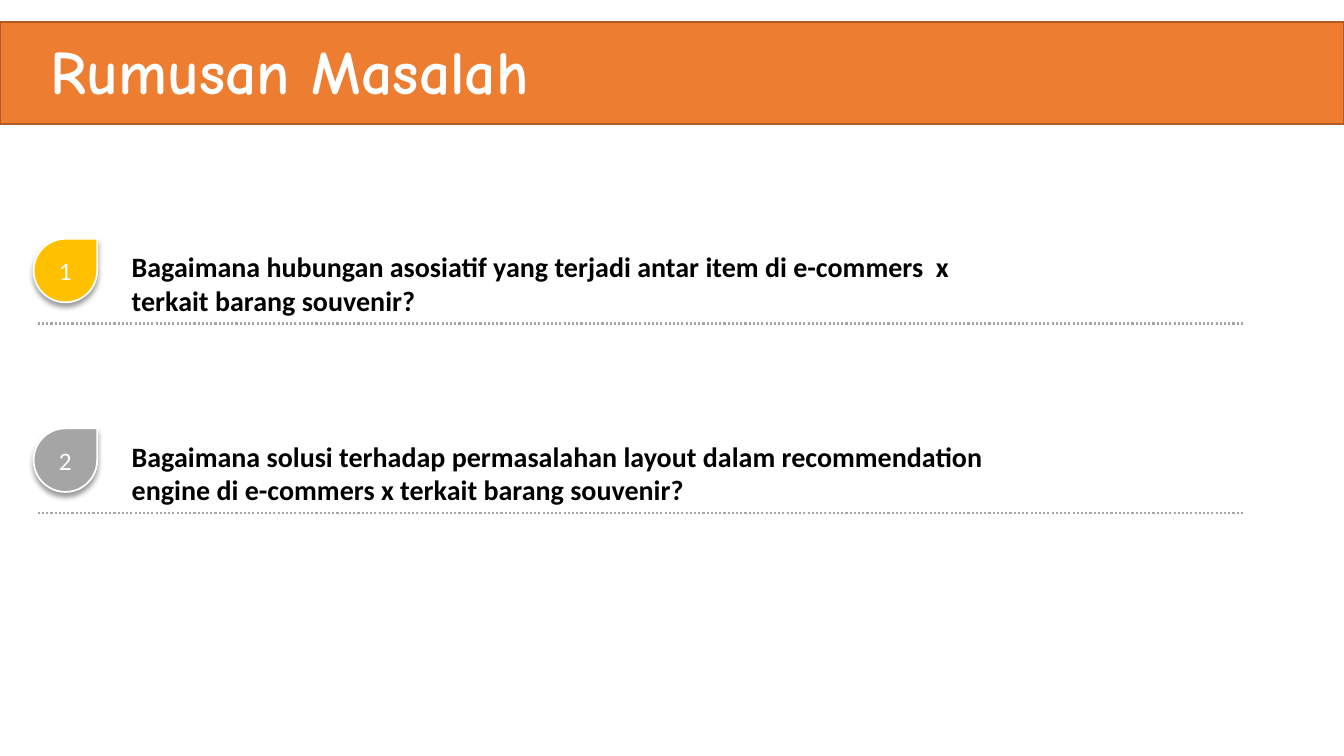
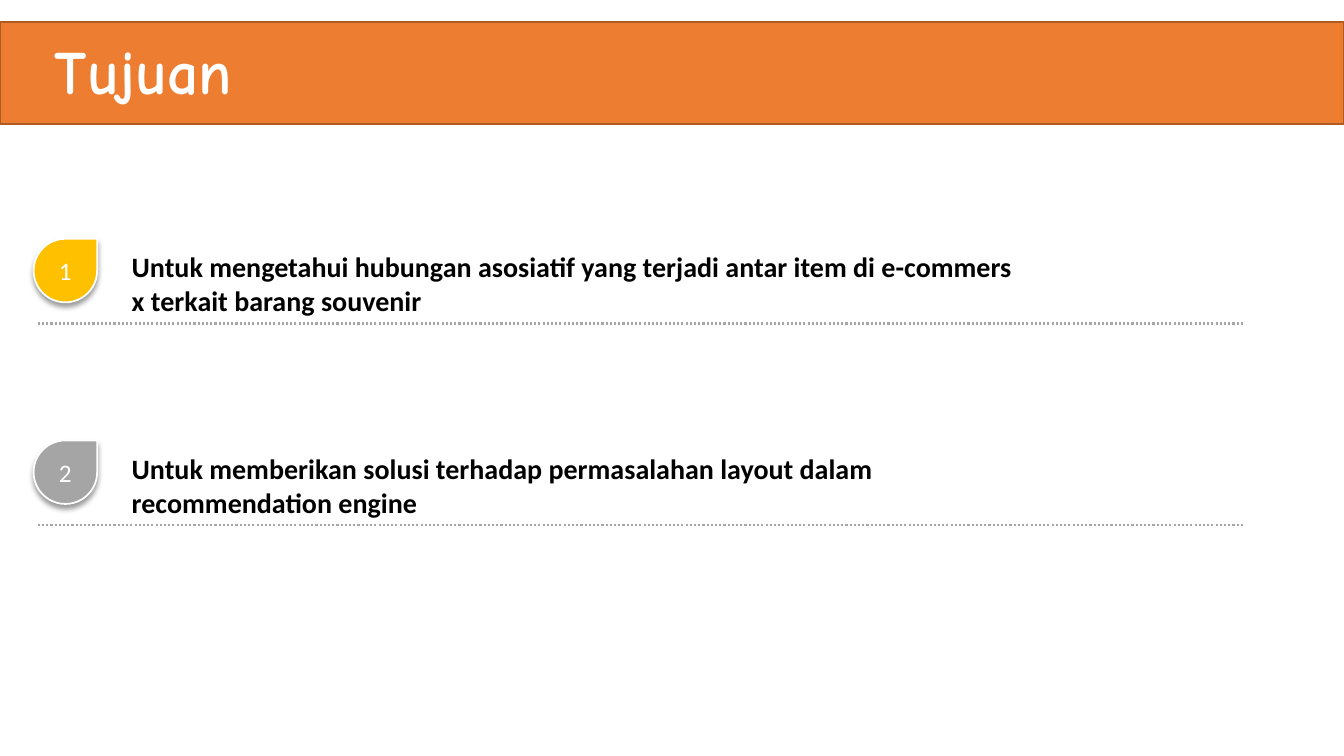
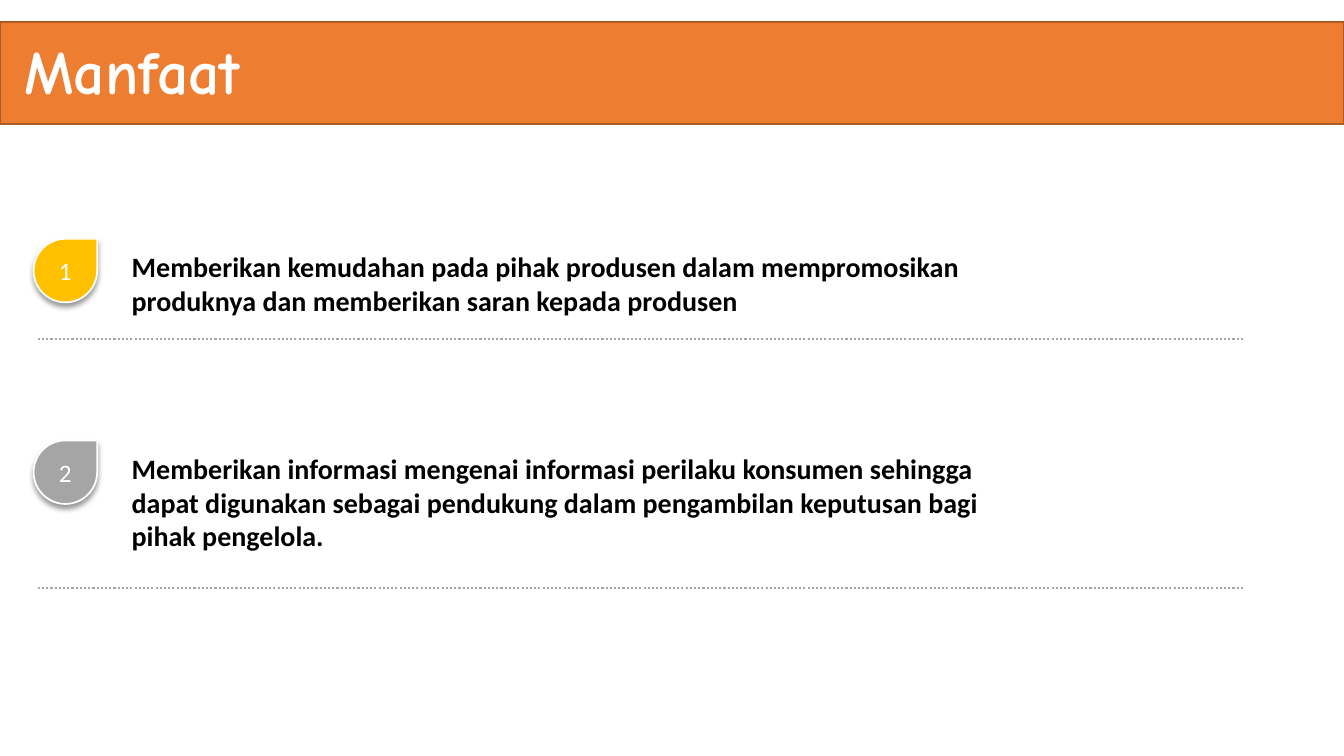
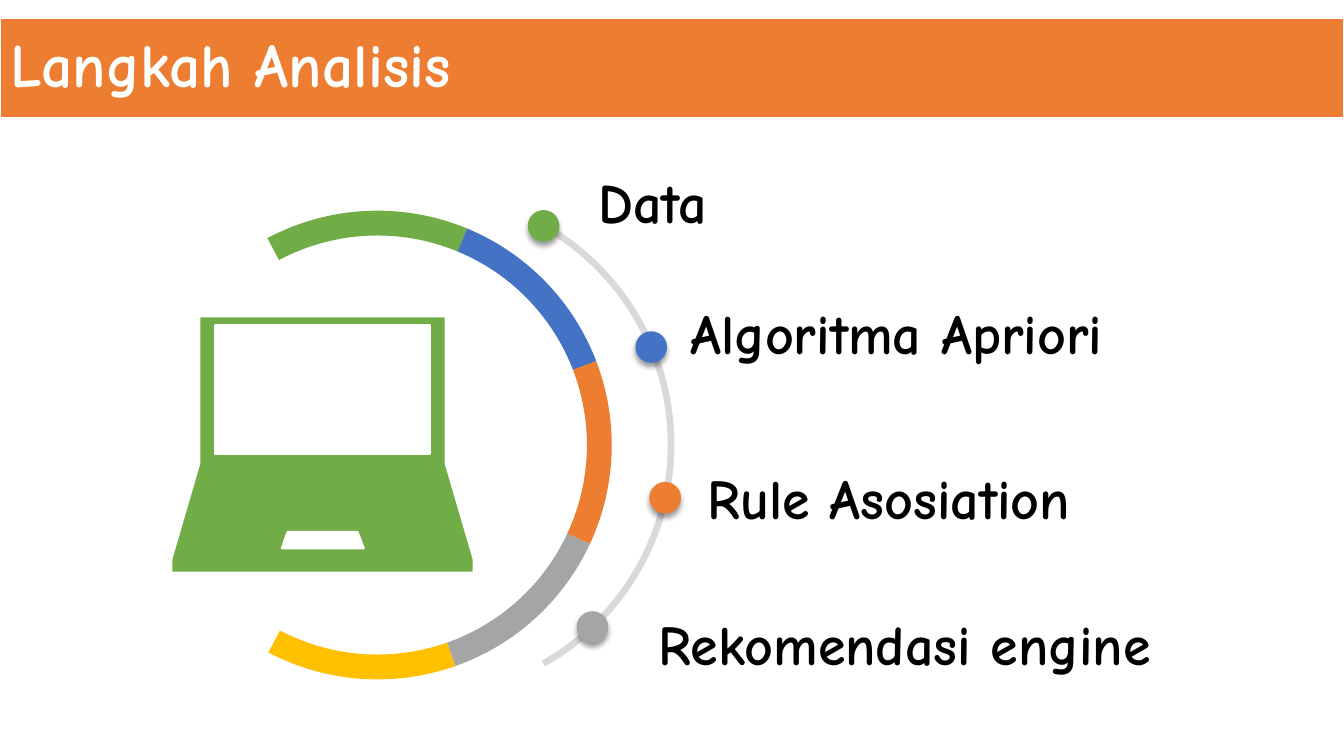
import math
from dataclasses import dataclass

import pptx
import pptx.dml.color
import pptx.enum.dml
import pptx.enum.shapes
import pptx.enum.text
import pptx.oxml
import pptx.oxml.ns
import pptx.util

Pt = pptx.util.Pt
Shape = pptx.enum.shapes.MSO_SHAPE
Align = pptx.enum.text.PP_ALIGN
Anchor = pptx.enum.text.MSO_ANCHOR
Fit = pptx.enum.text.MSO_AUTO_SIZE


@dataclass(frozen=True)
class Theme:
    """Colours, fonts and type sizes of the deck."""
    white: str = "FFFFFF"
    black: str = "000000"
    orange: str = "ED7D31"
    brown: str = "AF5C24"
    gold: str = "FFC000"
    gray: str = "A5A5A5"
    blue: str = "4472C4"
    green: str = "70AD47"
    rule: str = "A6A6A6"
    track: str = "D9D9D9"
    head: str = "Comic Neue"
    body: str = "Calibri"
    title: float = 44
    label: float = 40
    text: float = 20
    mark: float = 18


T = Theme()


def rgb(code):
    """Turn a hex code into a colour."""
    return pptx.dml.color.RGBColor.from_string(code)


def paint(shape, fill, line=None, width=1):
    """Give a shape a flat fill, an optional outline and no shadow."""
    shape.shadow.inherit = False
    shape.fill.solid()
    shape.fill.fore_color.rgb = rgb(fill)
    if line:
        shape.line.color.rgb = rgb(line)
        shape.line.width = Pt(width)
    else:
        shape.line.fill.background()


def solid(slide, kind, box, fill, line=None, width=1):
    """Add a painted preset shape in a box."""
    shape = slide.shapes.add_shape(kind, *map(Pt, box))
    paint(shape, fill, line, width)
    return shape


def shade(shape):
    """Drop a soft shadow below a shape."""
    space = pptx.oxml.ns.nsdecls("a")
    glow = pptx.oxml.parse_xml(
        f'<a:outerShdw {space} blurRad="{Pt(4)}" dist="{Pt(3)}" '
        'dir="5400000" algn="t" rotWithShape="0"><a:srgbClr val="000000">'
        '<a:alpha val="40000"/></a:srgbClr></a:outerShdw>')
    shape.element.spPr.find(pptx.oxml.ns.qn("a:effectLst")).append(glow)


def write(shape, text, size, color, font, bold=True, align=Align.LEFT):
    """Put text in a shape and format its runs."""
    frame = shape.text_frame
    frame.text = text
    for para in frame.paragraphs:
        para.alignment = align
        for run in para.runs:
            run.font.size = Pt(size)
            run.font.name = font
            run.font.bold = bold
            run.font.color.rgb = rgb(color)
    return frame


def note(slide, box, text, size, font, wrap):
    """Add a bold black text box that grows with its text."""
    shape = slide.shapes.add_textbox(*map(Pt, box))
    frame = write(shape, text, size, T.black, font)
    frame.word_wrap = wrap
    frame.auto_size = Fit.SHAPE_TO_FIT_TEXT


def head(slide, box, text, align=Align.LEFT):
    """Place and style the slide title above all earlier shapes."""
    title = slide.shapes.title
    title.left, title.top, title.width, title.height = map(Pt, box)
    frame = write(title, text, T.title, T.white, T.head, align=align)
    frame.auto_size = Fit.NONE
    frame.word_wrap = True
    frame.vertical_anchor = Anchor.MIDDLE
    frame.paragraphs[0].line_spacing = 0.9
    title.element.getparent().append(title.element)
    return title


def point(slide, box, num, fill, text):
    """Draw a numbered point with a dotted rule at the foot of its box."""
    left, top, width, height = box
    foot = Pt(top + height)
    rule = slide.shapes.add_connector(
        pptx.enum.shapes.MSO_CONNECTOR.STRAIGHT,
        Pt(left + 3), foot, Pt(left + width), foot)
    rule.line.color.rgb = rgb(T.rule)
    rule.line.width = Pt(1.5)
    rule.line.dash_style = pptx.enum.dml.MSO_LINE.ROUND_DOT
    rule.element.spPr.append(pptx.oxml.parse_xml(
        f'<a:effectLst {pptx.oxml.ns.nsdecls("a")}/>'))
    drop = solid(slide, Shape.TEAR, (left, top, 45.4, 45.4),
                 fill, T.white, 1.25)
    shade(drop)
    frame = write(drop, str(num), T.mark, T.white, T.body, False, Align.CENTER)
    frame.vertical_anchor = Anchor.MIDDLE
    note(slide, (left + 63, top + 4.3, 650, 55.4), text, T.text, T.body, True)


def points(slide, title, span, align, rows):
    """Build a slide of numbered points under a banded title."""
    solid(slide, Shape.RECTANGLE, (0, 15.8, 960, 72.7), T.orange, T.brown)
    head(slide, (10, 27.4, span, 51), title, align)
    for num, (fill, row) in enumerate(zip((T.gold, T.gray), rows), 1):
        top, height, text = row
        point(slide, (24, top, 865, height), num, fill, text)


def arc(slide, box, start, end, thick, fill):
    """Draw a ring segment clockwise between two angles in degrees."""
    ring = solid(slide, Shape.BLOCK_ARC, box, fill)
    for i, value in enumerate((start * 0.6, end * 0.6, thick)):
        ring.adjustments[i] = value


def laptop(slide, left, top):
    """Draw a laptop with open screen and touch pad."""
    pad = (83, 154), (79, 165.6), (137.5, 165.6), (133, 154)
    view = (31.5, 6.5), (31.5, 98), (185, 98), (185, 6.5)
    case = ((20, 0), (196, 0), (196, 105), (216, 173.5),
            (216, 183), (0, 183), (0, 173.5), (20, 105))
    pen = slide.shapes.build_freeform(*map(Pt, case[0]))
    for i, part in enumerate((case, view, pad)):
        dots = [(Pt(x), Pt(y)) for x, y in part]
        if i:
            pen.move_to(*dots[0])
        pen.add_line_segments(dots[1:], close=True)
    paint(pen.convert_to_shape(Pt(left), Pt(top)), T.green, T.white, 1.5)


def track(slide, box, steps):
    """Draw the outer track with a dot and a label for each step."""
    left, top, size, _ = box
    arc(slide, box, 299.9, 60.5, 0.013, T.track)
    mid, reach, wide = size / 2, size / 2 - 2.5, 22.6
    for fill, turn, text, x, y, width in steps:
        ang = math.radians(turn)
        dot = (left + mid + reach * math.cos(ang) - wide / 2,
               top + mid + reach * math.sin(ang) - wide / 2, wide, wide)
        shade(solid(slide, Shape.OVAL, dot, fill))
        note(slide, (left + x, top + y, width, 55.4),
             text, T.label, T.head, False)


def stages(slide):
    """Build the slide of analysis steps around a laptop."""
    title = head(slide, (0, 13, 960, 71), "Langkah Analisis")
    paint(title, T.orange, T.white, 1.5)
    track(slide, (117.4, 135.4, 364.3, 364.3), (
        (T.green, -60.4, "Data", 303, -19.5, 108),
        (T.blue, -22.8, "Algoritma Apriori", 368.6, 74, 353),
        (T.orange, 12.2, "Rule Asosiation", 381, 192.2, 310),
        (T.gray, 46.5, "Rekomendasi engine", 345.6, 296.6, 397)))
    cuts = 242, 292.5, 339, 25, 70.6, 117.7
    fills = T.green, T.blue, T.orange, T.gray, T.gold
    for start, end, fill in zip(cuts, cuts[1:], fills):
        arc(slide, (102.2, 150.5, 334.8, 334.8), start, end, 0.053, fill)
    laptop(slide, 122.4, 226)


def main():
    """Build and save the deck."""
    deck = pptx.Presentation()
    deck.slide_width, deck.slide_height = Pt(960), Pt(540)
    lists = (
        ("Rumusan Masalah", 394, Align.CENTER, (
            (170.6, 60.5, "Bagaimana hubungan asosiatif yang terjadi antar "
             "item di e-commers  x terkait barang souvenir?"),
            (306, 60.5, "Bagaimana solusi terhadap permasalahan layout dalam "
             "recommendation engine di e-commers x terkait barang "
             "souvenir?"))),
        ("Tujuan", 185, Align.CENTER, (
            (170.6, 60.5, "Untuk mengetahui hubungan asosiatif yang terjadi "
             "antar item di e-commers x terkait barang souvenir"),
            (314.6, 60.5, "Untuk memberikan solusi terhadap permasalahan "
             "layout dalam recommendation engine"))),
        ("Manfaat", 295, Align.LEFT, (
            (170.6, 71.3, "Memberikan kemudahan pada pihak produsen dalam "
             "mempromosikan\vproduknya dan memberikan saran kepada produsen"),
            (314.6, 105.1, "Memberikan informasi mengenai informasi perilaku "
             "konsumen sehingga dapat digunakan sebagai pendukung dalam "
             "pengambilan keputusan bagi pihak pengelola."))))
    plain = deck.slide_layouts[5]
    for item in lists:
        points(deck.slides.add_slide(plain), *item)
    stages(deck.slides.add_slide(plain))
    deck.save("out.pptx")


main()
